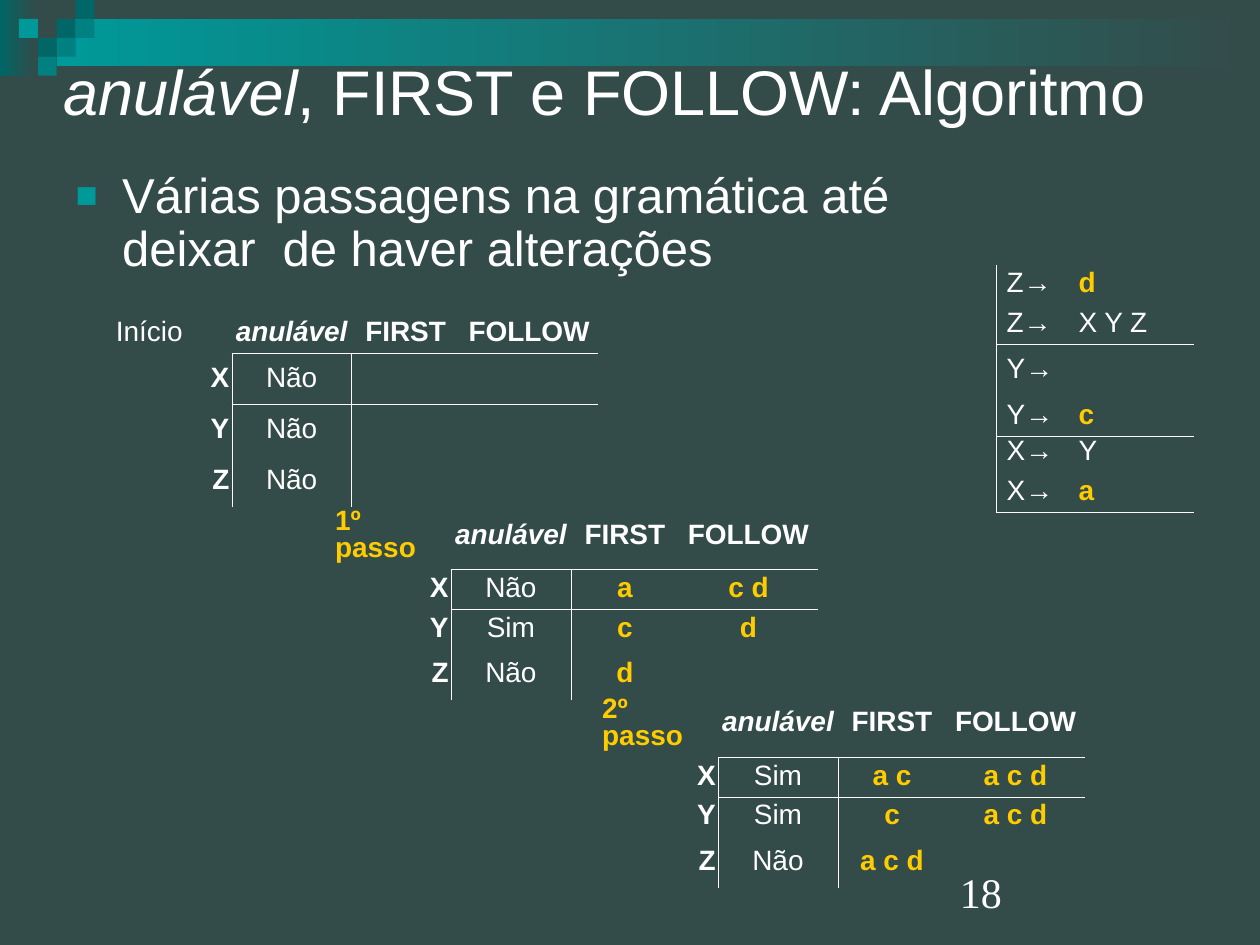
from dataclasses import dataclass

from lxml.etree import SubElement
from pptx import Presentation
from pptx.dml.color import RGBColor
from pptx.enum.shapes import MSO_SHAPE
from pptx.enum.text import MSO_ANCHOR, MSO_AUTO_SIZE, PP_ALIGN
from pptx.oxml.ns import qn
from pptx.util import Inches, Pt


@dataclass(frozen=True)
class Theme:
    """Colours, fonts and type sizes of the deck."""

    ground: str = "334B49"
    ink: str = "FFFFFF"
    terminal: str = "FFCC00"
    dark: str = "006666"
    medium: str = "008080"
    bright: str = "009999"
    font: str = "Arial"
    number_font: str = "Times New Roman"
    title: int = 36
    body: int = 28
    table: int = 16
    number: int = 24


@dataclass(frozen=True)
class Box:
    """A region on a page grid of 100 columns by 75 rows."""

    left: float
    top: float
    width: float
    height: float

    def emu(self):
        """Return the four lengths for python-pptx."""
        return [grid(value) for value in (self.left, self.top, self.width, self.height)]


THEME = Theme()
PLAIN_TABLE = "{2D5ABB26-0587-4C30-8999-92F81FD0307C}"
SHORT_ROW, TALL_ROW = 3.15, 3.8
RULE_COLUMNS = (5.5, 10.2)
STATE_COLUMNS = (9.4, 9.5, 8.6, 11)
HEADINGS = ("anulável", "FIRST", "FOLLOW")
RULES = (
    (21, (("Z→", "d"), ("Z→", "X Y Z"))),
    (27.4, (("Y→", ""), ("Y→", "c"))),
    (34.35, (("X→", "Y"), ("X→", "a"))),
)
STATES = (
    (9, 24.9, "Início", (("X", "Não", "", ""), ("Y", "Não", "", ""), ("Z", "Não", "", ""))),
    (26.4, 39.9, "1º passo", (("X", "Não", "a", "c d"), ("Y", "Sim", "c", "d"), ("Z", "Não", "d", ""))),
    (47.6, 54.8, "2º passo", (("X", "Sim", "a c", "a c d"), ("Y", "Sim", "c", "a c d"), ("Z", "Não", "a c d", ""))),
)


def grid(units):
    """Turn grid units into a length."""
    return Inches(units / 10)


def style(font, size, color=THEME.ink, name=THEME.font, bold=False, italic=False):
    """Format a font."""
    font.size, font.name, font.bold, font.italic = Pt(size), name, bold, italic
    font.color.rgb = RGBColor.from_string(color)


def place(shape, box):
    """Move a shape into a box."""
    shape.left, shape.top, shape.width, shape.height = box.emu()


def add_tile(page, box, color, fades=False):
    """Add a borderless rectangle, solid or fading into the ground."""
    tile = page.shapes.add_shape(MSO_SHAPE.RECTANGLE, *box.emu())
    tile.shadow.inherit = False
    tile.line.fill.background()
    if fades:
        tile.fill.gradient()
        tile.fill.gradient_angle = 0
        for stop, tone in zip(tile.fill.gradient_stops, (color, THEME.ground)):
            stop.color.rgb = RGBColor.from_string(tone)
    else:
        tile.fill.solid()
        tile.fill.fore_color.rgb = RGBColor.from_string(color)


def add_ornament(page, box):
    """Draw the fading bars and the mosaic in the top corner."""
    step = box.height / 4
    add_tile(page, Box(box.left, box.top, 2 * step, box.height), THEME.dark, True)
    add_tile(page, Box(box.left + 3 * step, box.top + step, box.width - 3 * step, 2.5 * step), THEME.bright, True)
    mosaic = (
        (3, 1, THEME.dark), (4, 0, THEME.dark), (4, 1, THEME.medium), (2, 2, THEME.dark),
        (1, 1, THEME.bright), (3, 2, THEME.medium), (2, 3, THEME.medium),
    )
    for column, row, color in mosaic:
        add_tile(page, Box(box.left + column * step, box.top + row * step, step, step), color)


def fill_title(page, box):
    """Write the title."""
    title = page.shapes.title
    place(title, box)
    frame = title.text_frame
    frame.auto_size = MSO_AUTO_SIZE.NONE
    frame.vertical_anchor = MSO_ANCHOR.MIDDLE
    frame.margin_left = frame.margin_right = 0
    para = frame.paragraphs[0]
    para.alignment = PP_ALIGN.LEFT
    style(para.font, THEME.title)
    for text, italic in (("anulável", True), (", FIRST e FOLLOW: Algoritmo", False)):
        span = para.add_run()
        span.text, span.font.italic = text, italic


def fill_body(page, box):
    """Write the bulleted statement."""
    body = page.placeholders[1]
    place(body, box)
    frame = body.text_frame
    frame.auto_size = MSO_AUTO_SIZE.NONE
    para = frame.paragraphs[0]
    para.text = "Várias passagens na gramática até deixar  de haver alterações"
    para.line_spacing, para.space_before = 0.9, Pt(7)
    properties = para._p.get_or_add_pPr()
    properties.set("marL", str(grid(3.7)))
    properties.set("indent", str(-grid(3.7)))
    SubElement(SubElement(properties, qn("a:buClr")), qn("a:srgbClr"), val=THEME.bright)
    SubElement(properties, qn("a:buSzPct"), val="75000")
    SubElement(properties, qn("a:buFont"), typeface=THEME.font)
    SubElement(properties, qn("a:buChar"), char="■")
    style(para.font, THEME.body)


def add_plain_table(page, left, top, columns, rows):
    """Add an unstyled table with the given column widths and row heights."""
    box = Box(left, top, sum(columns), sum(rows))
    table = page.shapes.add_table(len(rows), len(columns), *box.emu()).table
    table.first_row = table.horz_banding = False
    table._tbl.tblPr.find(qn("a:tableStyleId")).text = PLAIN_TABLE
    for column, width in zip(table.columns, columns):
        column.width = grid(width)
    for row, height in zip(table.rows, rows):
        row.height = grid(height)
    return table


def fill_cell(cell, text, sides, weight, margin, align=PP_ALIGN.LEFT, bold=False, italic=False):
    """Write a cell, rule its sides and set terminals apart."""
    cell.vertical_anchor = MSO_ANCHOR.MIDDLE
    cell.margin_left = cell.margin_right = grid(margin)
    properties = cell._tc.get_or_add_tcPr()
    for side in sides:
        line = SubElement(properties, qn(f"a:ln{side}"), w=str(Pt(weight)))
        SubElement(SubElement(line, qn("a:solidFill")), qn("a:srgbClr"), val=THEME.ink)
    cell.fill.background()
    if text:
        para = cell.text_frame.paragraphs[0]
        para.text, para.alignment = text, align
        para.line_spacing, para.space_before = 0.87, Pt(4)
        terminal = text.islower() and not italic
        color = THEME.terminal if terminal else THEME.ink
        style(para.font, THEME.table, color, bold=bold or terminal, italic=italic)


def row_heights(lines):
    """Give lines with an empty cell a taller row."""
    return [SHORT_ROW if all(line) else TALL_ROW for line in lines]


def add_rules(page, left, top, rules):
    """Add the productions of one symbol."""
    table = add_plain_table(page, left, top, RULE_COLUMNS, row_heights(rules))
    for row, (symbol, product) in enumerate(rules):
        below = "B" if row == len(rules) - 1 else ""
        fill_cell(table.cell(row, 0), symbol, "L" + below, 0.23, 0.8)
        fill_cell(table.cell(row, 1), product, below, 0.23, 1)


def add_state(page, left, top, label, lines):
    """Add the state of the three sets after one pass."""
    lines = ((label, *HEADINGS), *lines)
    table = add_plain_table(page, left, top, STATE_COLUMNS, row_heights(lines))
    for row, line in enumerate(lines):
        for column, text in enumerate(line):
            heading, symbol = row == 0 and column > 0, row > 0 and column == 0
            sides = "R" if symbol else "B" if heading else ""
            if row and column:
                sides = ("L" if column == 1 else "") + ("T" if row == 1 else "")
            align = PP_ALIGN.CENTER if column else PP_ALIGN.RIGHT if row else PP_ALIGN.LEFT
            fill_cell(table.cell(row, column), text, sides, 0.11, 0.2, align,
                      heading or symbol, heading and column == 1)


def add_number(page, box):
    """Write the page number."""
    frame = page.shapes.add_textbox(*box.emu()).text_frame
    frame.word_wrap = True
    frame.vertical_anchor = MSO_ANCHOR.BOTTOM
    para = frame.paragraphs[0]
    para.text = "18"
    style(para.font, THEME.number, name=THEME.number_font)


def main():
    """Build and save the deck."""
    deck = Presentation()
    deck.slide_width, deck.slide_height = grid(100), grid(75)
    page = deck.slides.add_slide(deck.slide_layouts[1])
    page.background.fill.solid()
    page.background.fill.fore_color.rgb = RGBColor.from_string(THEME.ground)
    add_ornament(page, Box(0, 0, 100, 6))
    fill_title(page, Box(5, 2.8, 90, 8.7))
    fill_body(page, Box(5, 13.1, 74.9, 10.2))
    for top, rules in RULES:
        add_rules(page, 79.1, top, rules)
    for state in STATES:
        add_state(page, *state)
    add_number(page, Box(75.2, 68.3, 19.8, 5))
    deck.save("out.pptx")


if __name__ == "__main__":
    main()
